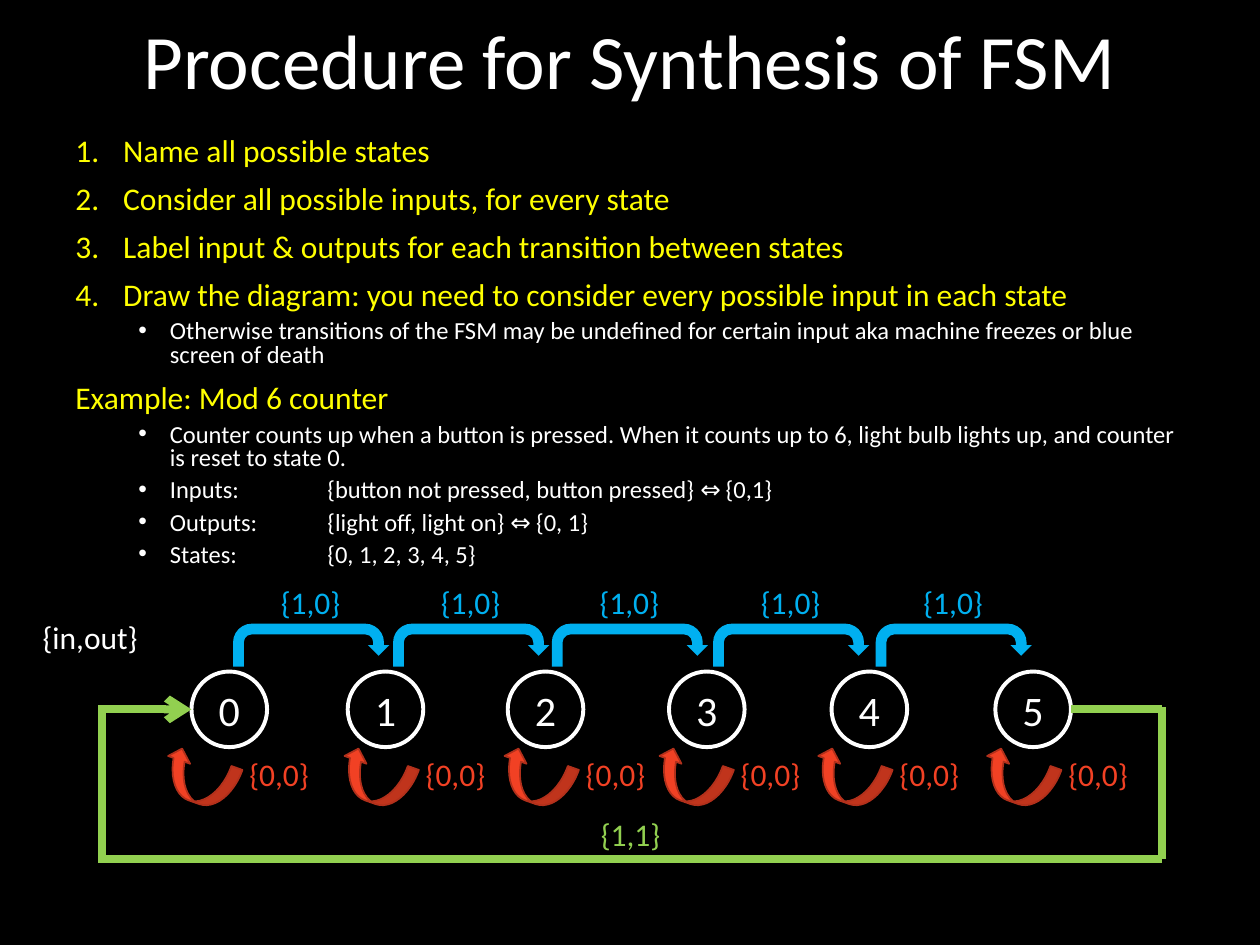
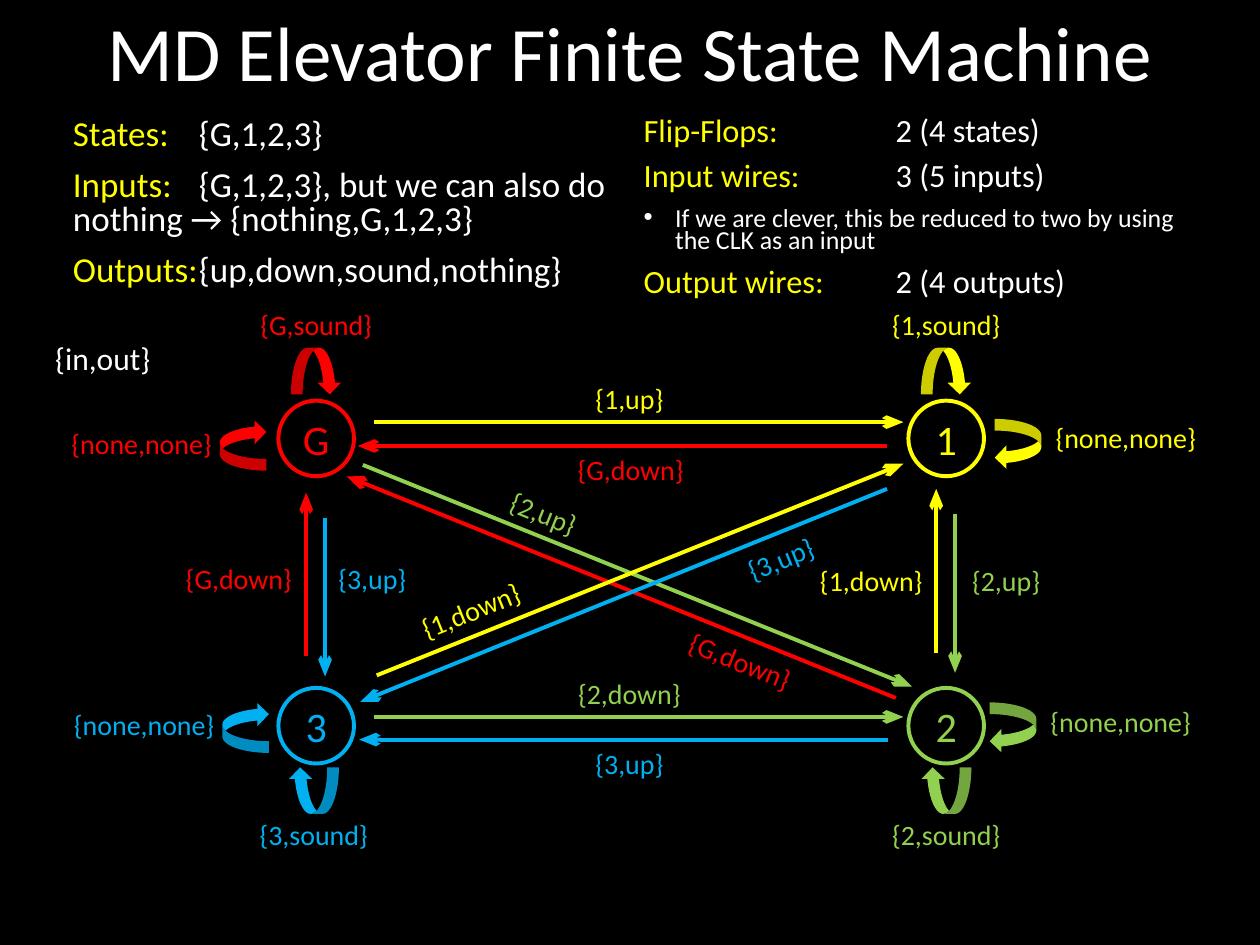
from lxml.etree import SubElement
from pptx import Presentation
from pptx.dml.color import RGBColor
from pptx.enum.shapes import MSO_CONNECTOR, MSO_SHAPE
from pptx.enum.text import MSO_ANCHOR, MSO_AUTO_SIZE, PP_ALIGN
from pptx.oxml.ns import qn
from pptx.util import Inches, Pt

BLACK = RGBColor(0x00, 0x00, 0x00)
WHITE = RGBColor(0xFF, 0xFF, 0xFF)
YELLOW = RGBColor(0xFF, 0xFF, 0x00)
RED = RGBColor(0xFF, 0x00, 0x00)
GREEN = RGBColor(0x92, 0xD0, 0x50)
BLUE = RGBColor(0x00, 0xB0, 0xF0)
ORANGE = RGBColor(0xF1, 0x41, 0x24)
RUST = RGBColor(0xB2, 0x30, 0x1B)
FONT = "Calibri"

prs = Presentation()
prs.slide_width, prs.slide_height = Inches(10), Inches(7.5)
# All positions are in columns and rows of a 100 x 75 grid
COL, ROW = prs.slide_width / 100, prs.slide_height / 75
STATE = 6  # diameter of a state circle


def add_box(s, x, y, w, h, kind=None, fill=None, line=None, width=1,
            rot=0, flip=False, wrap=True, middle=False):
    """Add a text box, or a preset shape if kind is given; return its text frame."""
    at = [int(v) for v in (x * COL, y * ROW, w * COL, h * ROW)]
    if kind is None:
        sp = s.shapes.add_textbox(*at)
    else:
        sp = s.shapes.add_shape(kind, *at)
        sp.shadow.inherit = False
        if fill is None:
            sp.fill.background()
        else:
            sp.fill.solid()
            sp.fill.fore_color.rgb = fill
        if line is None:
            sp.line.fill.background()
        else:
            sp.line.color.rgb = line
            sp.line.width = Pt(width)
    sp.rotation = rot
    if flip:
        sp._element.spPr.find(qn("a:xfrm")).set("flipH", "1")
    tf = sp.text_frame
    tf.word_wrap = wrap
    tf.auto_size = MSO_AUTO_SIZE.NONE if wrap else MSO_AUTO_SIZE.SHAPE_TO_FIT_TEXT
    tf.vertical_anchor = MSO_ANCHOR.MIDDLE if middle else MSO_ANCHOR.TOP
    return tf


def write(tf, text, size=16, color=WHITE, align=PP_ALIGN.LEFT, spacing=None,
          before=0, left=0, hang=0, bullet=None):
    """Add a paragraph; text is a string or a list of (text, colour) runs."""
    p = tf.add_paragraph() if tf.text else tf.paragraphs[0]
    p.alignment = align
    p.space_before = Pt(before)
    if spacing:
        p.line_spacing = spacing
    pPr = p._p.get_or_add_pPr()
    pPr.set("marL", str(Inches(left)))
    pPr.set("indent", str(-Inches(hang)))
    pPr.set("defTabSz", str(Inches(1)))
    if bullet == "1.":
        SubElement(pPr, qn("a:buFont"), typeface="+mj-lt")
        SubElement(pPr, qn("a:buAutoNum"), type="arabicPeriod")
    elif bullet:
        SubElement(pPr, qn("a:buFont"), typeface="Arial")
        SubElement(pPr, qn("a:buChar"), char=bullet)
    for part, part_color in [(text, color)] if isinstance(text, str) else text:
        r = p.add_run()
        r.text = part
        r.font.name, r.font.size = FONT, Pt(size)
        r.font.color.rgb = part_color


CENTER = PP_ALIGN.CENTER
slides = []
for title, top, key_x, key_y in [
        ("Procedure for Synthesis of FSM", 0.6, 2.4, 48.6),
        ("MD Elevator Finite State Machine", 0, 3.4, 26.4)]:
    s = prs.slides.add_slide(prs.slide_layouts[6])
    s.background.fill.solid()
    s.background.fill.fore_color.rgb = BLACK
    write(add_box(s, 6.9, top, 86.2, 9, middle=True), title,
          size=44, align=CENTER, spacing=0.9)
    write(add_box(s, key_x, key_y, 9.6, 4, wrap=False), "{in,out}", size=18)
    slides.append(s)
counter, elevator = slides
wires = []  # slide, colour, width, x1, y1, x2, y2, arrowhead length or None

# Slide 1: steps and example
head = dict(size=18, color=YELLOW, spacing=0.8, before=10)
step = dict(head, left=0.38, hang=0.38, bullet="1.")
detail = dict(size=14, spacing=0.8, before=5, left=0.75, hang=0.25, bullet="•")
tf = add_box(counter, 5, 10.5, 90, 36.2)
for text, style in [
        ("Name all possible states", step),
        ("Consider all possible inputs, for every state", step),
        ("Label input & outputs for each transition between states", step),
        ("Draw the diagram: you need to consider every possible input in each state", step),
        ("Otherwise transitions of the FSM may be undefined for certain input "
         "aka machine freezes or blue screen of death", detail),
        ("Example: Mod 6 counter", head),
        ("Counter counts up when a button is pressed. When it counts up to 6, "
         "light bulb lights up, and counter is reset to state 0.", detail),
        ("Inputs:\t{button not pressed, button pressed} ⇔ {0,1}", detail),
        ("Outputs:\t{light off, light on} ⇔ {0, 1}", detail),
        ("States:\t{0, 1, 2, 3, 4, 5}", detail)]:
    write(tf, text, **style)

# Slide 1: state diagram
for n, (state_x, stay_x) in enumerate([
        (15.2, 12.8), (27.6, 26.8), (40.3, 39.5), (53.1, 51.8), (66, 64.4), (79, 77.8)]):
    tf = add_box(counter, state_x, 53.3, STATE, STATE, MSO_SHAPE.OVAL,
                 line=WHITE, width=2.25, middle=True)
    write(tf, str(n), size=24, align=CENTER)
    add_box(counter, stay_x, 60, 6, 3.7, MSO_SHAPE.CURVED_UP_ARROW,
            fill=ORANGE, line=RUST, rot=19.5, flip=True)
    write(add_box(counter, stay_x + 6, 59.4, 6.8, 4, wrap=False), "{0,0}",
          size=18, color=ORANGE)
for count_x in (18.5, 31.2, 43.8, 56.6, 69.5):
    add_box(counter, count_x, 49.5, 12.4, 3.4, MSO_SHAPE.U_TURN_ARROW, fill=BLUE)
    write(add_box(counter, count_x + 2.8, 45.8, 6.8, 4, wrap=False), "{1,0}",
          size=18, color=BLUE)
write(add_box(counter, 46.7, 64.2, 6.8, 4, wrap=False), "{1,1}", size=18, color=GREEN)
for *ends, arrow in [
        (85, 56.3, 92.2, 56.3, None),
        (92.2, 56.1, 92.2, 68.2, None),
        (8.1, 68.2, 92.2, 68.2, None),
        (8.1, 56.3, 8.1, 68.5, None),
        (7.8, 56.3, 15.2, 56.3, "med")]:
    wires.append((counter, GREEN, 4.5, *ends, arrow))

# Slide 2: the two summaries
tf = add_box(elevator, 4.8, 9, 45.2, 15.7)
for label, value in [
        ("States:", "{G,1,2,3}"),
        ("Inputs:", "{G,1,2,3}, but we can also do \tnothing → {nothing,G,1,2,3}"),
        ("Outputs:", "{up,down,sound,nothing}")]:
    write(tf, [(label, YELLOW), ("\t" + value, WHITE)], size=20, spacing=0.8, before=10)

tf = add_box(elevator, 50.1, 9.1, 45.2, 15.7)
wire_row = dict(size=18.5, spacing=0.7, before=10)
for label, value in [("Flip-Flops:", "2 (4 states)"), ("Input wires:", "3 (5 inputs)")]:
    write(tf, [(label, YELLOW), ("\t" + value, WHITE)], **wire_row)
write(tf, "If we are clever, this be reduced to two by using the CLK as an input",
      size=14.8, spacing=0.7, before=10, left=0.25, hang=0.25, bullet="•")
write(tf, [("Output wires:\t", YELLOW), ("2 (4 outputs)", WHITE)], **wire_row)

# Slide 2: states, each with a loop above or below it and one at its side
LOOP_W, LOOP_H, LABEL_H = 4, 3.7, 3.7
SOUND_W, NONE_W = 11, 13.3
for name, color, x, y, loop_x, side_x, side_y, none_x, none_y in [
        ("G", RED, 22.1, 31.8, 23.1, 17.3, 33.5, 4.6, 33.4),
        ("1", YELLOW, 72.1, 31.8, 73.1, 78.8, 33.4, 82.7, 32.9),
        ("2", GREEN, 72.1, 54.6, 73.1, 78.4, 55.9, 82.3, 55.4),
        ("3", BLUE, 22.1, 54.6, 22.9, 17.5, 55.9, 4.8, 55.7)]:
    upper, on_left = y < 40, x < 50
    tf = add_box(elevator, x, y, STATE, STATE, MSO_SHAPE.OVAL,
                 line=color, width=2.25, middle=True)
    write(tf, name, size=24, color=color, align=CENTER)
    loop = dict(kind=MSO_SHAPE.CURVED_UP_ARROW, fill=color, flip=True)
    add_box(elevator, loop_x, 27.6 if upper else 60.9, LOOP_W, LOOP_H,
            rot=180 if upper else 0, **loop)
    add_box(elevator, side_x, side_y, LOOP_W, LOOP_H, rot=90 if on_left else 270, **loop)
    sound_x = loop_x + (LOOP_W - SOUND_W) / 2
    for text, text_x, text_y, w in [
            ("{%s,sound}" % name, sound_x, 23.9 if upper else 64.4, SOUND_W),
            ("{none,none}", none_x, none_y, NONE_W)]:
        write(add_box(elevator, text_x, text_y, w, LABEL_H, wrap=False), text,
              color=color, align=CENTER)

# Slide 2: moves between floors, with the centre and tilt of each label
for text, color, ends, mid_x, mid_y, tilt in [
        ("{1,up}", YELLOW, (29.7, 33.5, 71.7, 33.5), 49.95, 31.65, 0),
        ("{G,down}", RED, (70.4, 35.4, 28.4, 35.4), 50.05, 37.25, 0),
        ("{2,up}", GREEN, (75.8, 40.8, 75.8, 53.4), 79.85, 46.05, 0),
        ("{1,down}", YELLOW, (74.3, 51.8, 74.3, 38.8), 69.15, 46.05, 0),
        ("{3,up}", BLUE, (25.8, 41.1, 25.8, 53.7), 29.55, 45.95, 0),
        ("{G,down}", RED, (24.3, 52.1, 24.3, 39.1), 18.95, 45.95, 0),
        ("{2,up}", GREEN, (28.8, 36.9, 72.4, 54.5), 43.15, 40.75, 22),
        ("{G,down}", RED, (71.1, 55.4, 27.5, 37.8), 58.75, 52.45, 22),
        ("{1,down}", YELLOW, (29.9, 53.6, 71.7, 36.8), 37.35, 48.45, 338),
        ("{3,up}", BLUE, (70.4, 38.8, 28.6, 55.7), 61.95, 44.35, 338),
        ("{2,down}", GREEN, (29.7, 56.9, 71.7, 56.9), 49.95, 55.05, 0),
        ("{3,up}", BLUE, (70.5, 58.7, 28.5, 58.7), 49.95, 60.65, 0)]:
    w = 10.5 if "down" in text else 7.5
    tf = add_box(elevator, mid_x - w / 2, mid_y - LABEL_H / 2, w, LABEL_H,
                 rot=tilt, wrap=False)
    write(tf, text, color=color, align=CENTER)
    wires.append((elevator, color, 2.25, *ends, "lg"))

# Wires of both diagrams
for s, color, width, x1, y1, x2, y2, arrow in wires:
    c = s.shapes.add_connector(MSO_CONNECTOR.STRAIGHT, int(x1 * COL), int(y1 * ROW),
                               int(x2 * COL), int(y2 * ROW))
    c.line.color.rgb = color
    c.line.width = Pt(width)
    if arrow:
        SubElement(c.line._get_or_add_ln(), qn("a:tailEnd"), type="arrow", len=arrow)
    SubElement(c._element.spPr, qn("a:effectLst"))

prs.save("out.pptx")
